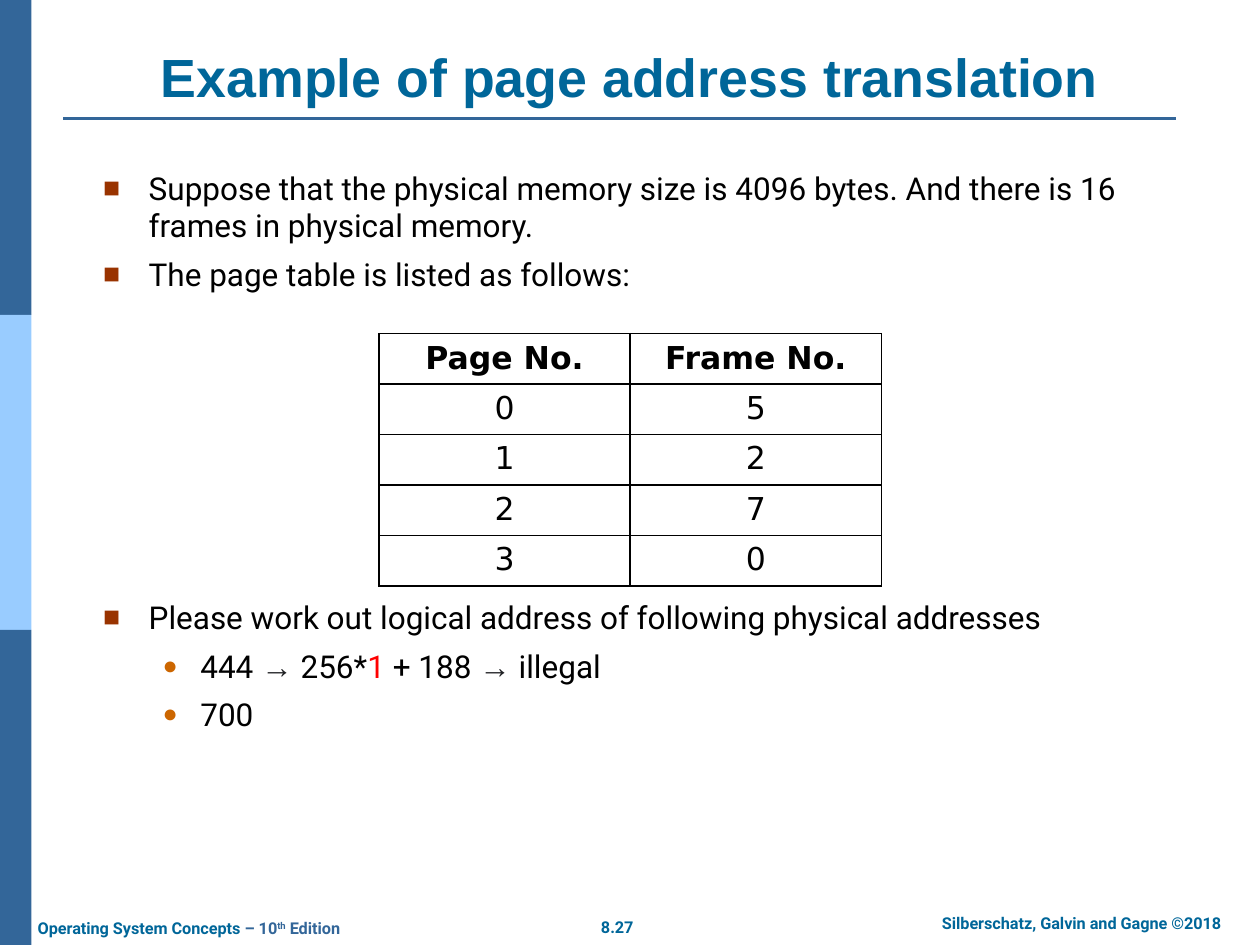
from lxml import etree
from pptx import Presentation
from pptx.dml.color import RGBColor
from pptx.enum.shapes import MSO_CONNECTOR, MSO_SHAPE
from pptx.enum.text import MSO_ANCHOR, PP_ALIGN
from pptx.oxml.ns import qn
from pptx.util import Pt

LEFT, MID = PP_ALIGN.LEFT, PP_ALIGN.CENTER
TOP, LOW = MSO_ANCHOR.TOP, MSO_ANCHOR.BOTTOM
RECT, LINE = MSO_SHAPE.RECTANGLE, MSO_CONNECTOR.STRAIGHT

BLUE = RGBColor(0x33, 0x66, 0x99)
SKY = RGBColor(0x99, 0xCC, 0xFF)
TEAL = RGBColor(0x00, 0x66, 0x99)
BLACK = RGBColor(0, 0, 0)
WHITE = RGBColor(255, 255, 255)
RED = RGBColor(255, 0, 0)
GREY = RGBColor(0x20, 0x21, 0x24)
BROWN = RGBColor(0x99, 0x33, 0x00)
AMBER = RGBColor(0xCC, 0x66, 0x00)

TITLE = {"name": "Arial", "size": Pt(30.7), "bold": True}
FOOT = {"name": "Roboto", "size": Pt(9.3), "bold": True}
BODY = {"name": "Roboto", "size": Pt(18), "bold": False}
ARROW = {"name": "Arial", "size": Pt(18), "bold": False}
CELL = {"name": "DejaVu Sans", "size": Pt(18), "bold": False}
HEAD = {**CELL, "bold": True}

LEVELS = [
    {"mark": "■", "tint": BROWN, "scale": 90, "left": 26, "hang": 26},
    {"mark": "●", "tint": AMBER, "scale": 80, "left": 55.5, "hang": 21.6},
]
ROWS = [("Page No.", "Frame No."), ("0", "5"), ("1", "2"), ("2", "7"), ("3", "0")]


def add_run(para, text, fmt, color):
    run = para.add_run()
    run.text = text
    for key, value in fmt.items():
        setattr(run.font, key, value)
    run.font.color.rgb = color
    return run


def add_box(slide, x, y, w, h, pad=(7.2, 3.6), wrap=True, anchor=TOP):
    frame = slide.shapes.add_textbox(Pt(x), Pt(y), Pt(w), Pt(h)).text_frame
    side, edge = map(Pt, pad)
    form = {"margin_left": side, "margin_right": side, "margin_top": edge,
            "margin_bottom": edge, "word_wrap": wrap, "vertical_anchor": anchor}
    for key, value in form.items():
        setattr(frame, key, value)
    return frame


def add_line(slide, parts, fmt, place, align=MID, **form):
    para = add_box(slide, *place, **form).paragraphs[0]
    para.alignment = align
    return [add_run(para, text, fmt, color) for text, color in parts]


def add_bar(slide, y, color):
    bar = slide.shapes.add_shape(RECT, 0, Pt(y), Pt(18), Pt(180))
    bar.shadow.inherit = False
    bar.fill.solid()
    bar.fill.fore_color.rgb = color
    bar.line.fill.background()


def add_rule(slide):
    rule = slide.shapes.add_connector(LINE, Pt(36), Pt(67.7), Pt(672), Pt(67.7))
    rule.line.color.rgb = BLUE
    rule.line.width = Pt(1.5)
    etree.SubElement(rule._element.spPr, qn("a:effectLst"))


def set_mark(para, level):
    form = LEVELS[level]
    props = para._p.get_or_add_pPr()
    props.set("marL", str(Pt(form["left"])))
    props.set("indent", str(-Pt(form["hang"])))
    if level:
        props.set("lvl", str(level))
    tint = etree.SubElement(props, qn("a:buClr"))
    etree.SubElement(tint, qn("a:srgbClr"), val=str(form["tint"]))
    etree.SubElement(props, qn("a:buSzPct"), val=str(form["scale"] * 1000))
    etree.SubElement(props, qn("a:buFont"), typeface="Arial")
    etree.SubElement(props, qn("a:buChar"), char=form["mark"])


def add_list(slide, y, h, items):
    frame = add_box(slide, 49, y, 648, h, pad=(10, 5))
    for i, (level, parts) in enumerate(items):
        para = frame.add_paragraph() if i else frame.paragraphs[0]
        set_mark(para, level)
        if i:
            para.space_before = Pt(6.3)
        for text, color in parts:
            add_run(para, text, ARROW if color == GREY else BODY, color)


def add_edges(cell):
    props = cell._tc.get_or_add_tcPr()
    for i, side in enumerate(("lnL", "lnR", "lnT", "lnB")):
        edge = etree.Element(qn("a:" + side), w=str(Pt(1)))
        fill = etree.SubElement(edge, qn("a:solidFill"))
        etree.SubElement(fill, qn("a:srgbClr"), val=str(BLACK))
        props.insert(i, edge)


def add_grid(slide):
    high, wide = 28.15, 143.6
    table = slide.shapes.add_table(len(ROWS), 2, Pt(216.5), Pt(190.6),
                                   Pt(2 * wide), Pt(len(ROWS) * high)).table
    table.horz_banding = False
    for r, row in enumerate(ROWS):
        table.rows[r].height = Pt(high)
        for c, text in enumerate(row):
            cell = table.cell(r, c)
            cell.fill.solid()
            cell.fill.fore_color.rgb = WHITE
            add_edges(cell)
            para = cell.text_frame.paragraphs[0]
            para.alignment = MID
            add_run(para, text, CELL if r else HEAD, BLACK)


def add_foot(slide):
    add_line(slide, [("8.27", TEAL)], FOOT, (336.2, 520.6, 33.1, 18), wrap=False)
    add_line(slide, [("Silberschatz, Galvin and Gagne ©2018", TEAL)], FOOT,
             (511.2, 518.4, 213.8, 18))
    runs = add_line(slide, [("Operating System Concepts", TEAL), (" – 10", BLUE),
                            ("th", BLUE), (" Edition", BLUE)], FOOT,
                    (14.4, 521.3, 203, 18), align=LEFT, wrap=False)
    runs[2]._r.get_or_add_rPr().set("baseline", "30000")


def main():
    deck = Presentation()
    deck.slide_width, deck.slide_height = Pt(720), Pt(540)
    slide = deck.slides.add_slide(deck.slide_layouts[6])
    for i, color in enumerate((BLUE, SKY, BLUE)):
        add_bar(slide, i * 180, color)
    add_rule(slide)
    add_foot(slide)
    add_line(slide, [("Example of page address translation", TEAL)], TITLE,
             (36, 21.6, 648, 45.4), pad=(10, 5), anchor=LOW)
    add_list(slide, 91.4, 90, [
        (0, [("Suppose that the physical memory size is 4096 bytes. "
              "And there is 16 frames in physical memory.", BLACK)]),
        (0, [("The page table is listed as follows:", BLACK)]),
    ])
    add_grid(slide)
    add_list(slide, 336.6, 111, [
        (0, [("Please work out logical address of following physical addresses",
              BLACK)]),
        (1, [("444 ", BLACK), ("→", GREY), (" 256*", BLACK), ("1", RED),
             (" + 188 ", BLACK), ("→", GREY), (" illegal", BLACK)]),
        (1, [("700", BLACK)]),
    ])
    deck.save("out.pptx")


if __name__ == "__main__":
    main()
